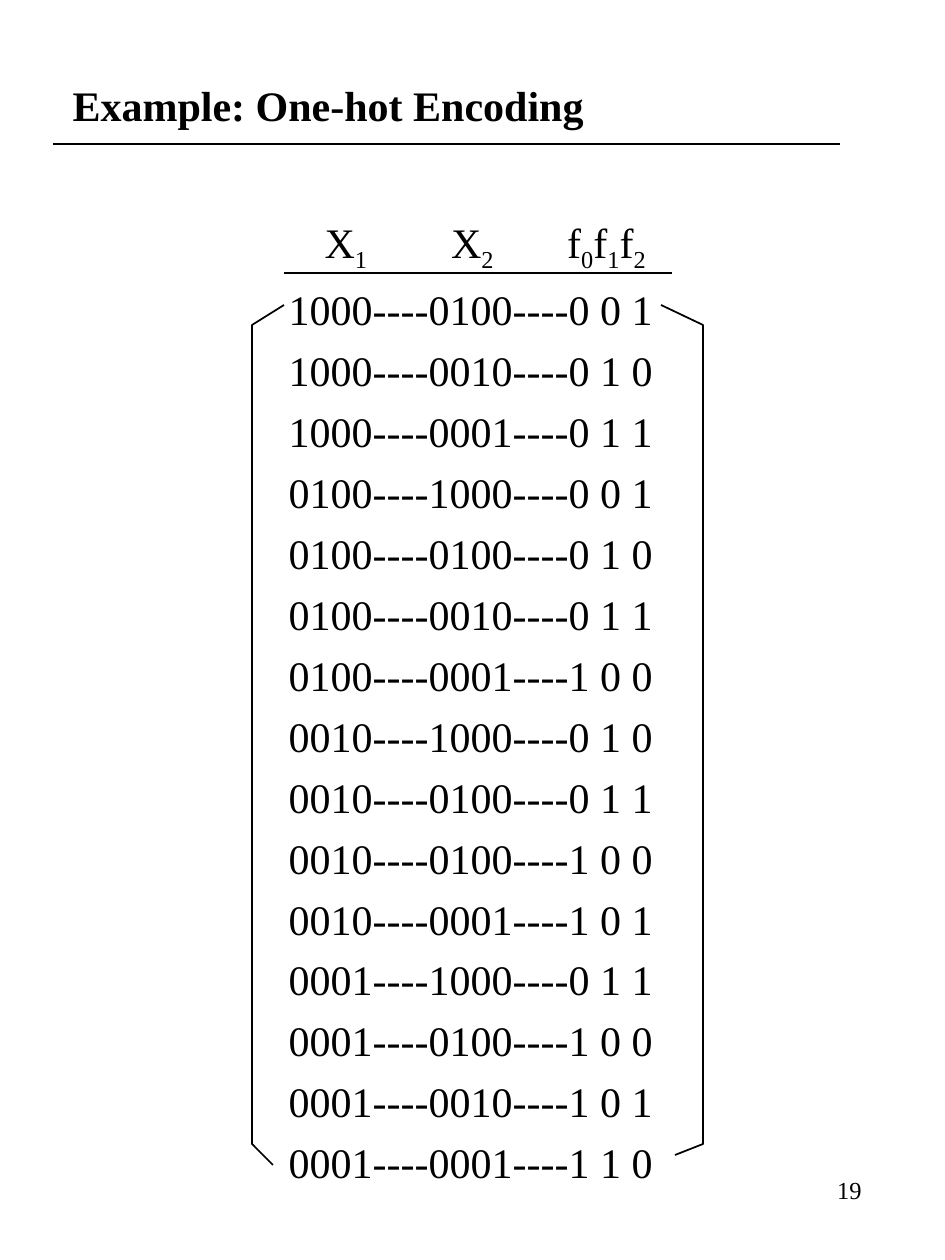
from lxml.etree import SubElement
from pptx import Presentation
from pptx.dml.color import RGBColor
from pptx.enum.shapes import MSO_CONNECTOR as Link
from pptx.enum.text import MSO_ANCHOR as Anchor, MSO_AUTO_SIZE as Fit, PP_ALIGN as Align
from pptx.oxml.ns import qn
from pptx.util import Pt

PX = 914400 / 126
FONT, BLACK = "Times New Roman", "000000"

TITLE = "Example: One-hot Encoding"
PAGE = "19"
HEADS = [
    (0, ("X", "1")),
    (42, ("X", "2")),
    (36, ("f", "0", "f", "1", "f", "2")),
]
CODES = [
    ("1000", "0100", "0 0 1"),
    ("1000", "0010", "0 1 0"),
    ("1000", "0001", "0 1 1"),
    ("0100", "1000", "0 0 1"),
    ("0100", "0100", "0 1 0"),
    ("0100", "0010", "0 1 1"),
    ("0100", "0001", "1 0 0"),
    ("0010", "1000", "0 1 0"),
    ("0010", "0100", "0 1 1"),
    ("0010", "0100", "1 0 0"),
    ("0010", "0001", "1 0 1"),
    ("0001", "1000", "0 1 1"),
    ("0001", "0100", "1 0 0"),
    ("0001", "0010", "1 0 1"),
    ("0001", "0001", "1 1 0"),
]
RULES = [(53, 840, 144), (284, 672, 273)]
BRACES = [
    [(661, 305), (703, 325), (703, 1144), (675, 1155)],
    [(284, 305), (252, 325), (252, 1144), (273, 1165)],
]


def emu(px):
    return round(px * PX)


def color(code):
    return RGBColor.from_string(code)


def place(shape, left, top, width, height):
    shape.left, shape.top = emu(left), emu(top)
    shape.width, shape.height = emu(width), emu(height)


def style(para, size, align, bold=False):
    para.alignment = align
    font = para.font
    font.name, font.size, font.bold = FONT, Pt(size), bold
    font.color.rgb = color(BLACK)


def plain(para, indent, gap):
    para.space_before = Pt(gap)
    props = para._p.get_or_add_pPr()
    props.set("marL", str(emu(indent)))
    props.set("indent", "0")
    SubElement(props, qn("a:buNone"))


def stroke(shape):
    shape.line.color.rgb = color(BLACK)
    shape.line.width = Pt(1)


def add_run(para, text, **props):
    run = para.add_run()
    run.text = text
    for name, value in props.items():
        run.font._element.set(name, str(value))


def add_head(para):
    plain(para, 252, 0)
    for gap, parts in HEADS:
        if gap:
            add_run(para, " ", spc=gap * 100)
        for i, part in enumerate(parts):
            add_run(para, part, baseline=-25000 if i % 2 else 0)
    style(para, 24, Align.LEFT)


def main():
    deck = Presentation()
    deck.slide_width, deck.slide_height = emu(945), emu(1260)
    slide = deck.slides.add_slide(deck.slide_layouts[1])
    shapes = slide.shapes

    title, body = slide.placeholders
    place(title, 60, 0, 804, 210)
    frame = title.text_frame
    frame.text = TITLE
    frame.auto_size = Fit.NONE
    frame.vertical_anchor = Anchor.MIDDLE
    style(frame.paragraphs[0], 24, Align.LEFT, True)

    place(body, 60, 197, 780, 989)
    frame = body.text_frame
    frame.auto_size = Fit.NONE
    frame.margin_top = emu(19)
    add_head(frame.paragraphs[0])
    for code in CODES:
        para = frame.add_paragraph()
        para.text = "----".join(code)
        plain(para, 41, 6)
        style(para, 24, Align.CENTER)

    for left, right, y in RULES:
        rule = shapes.add_connector(Link.STRAIGHT, emu(left), emu(y), emu(right), emu(y))
        stroke(rule)
        SubElement(rule._element.spPr, qn("a:effectLst"))

    for start, *rest in BRACES:
        path = shapes.build_freeform(*start, scale=PX)
        path.add_line_segments(rest, close=False)
        brace = path.convert_to_shape()
        brace.fill.background()
        brace.shadow.inherit = False
        stroke(brace)

    page = shapes.add_textbox(emu(678), emu(1148), emu(196), emu(84))
    frame = page.text_frame
    frame.word_wrap = True
    frame.vertical_anchor = Anchor.MIDDLE
    frame.text = PAGE
    style(frame.paragraphs[0], 14, Align.RIGHT)

    deck.save("out.pptx")


if __name__ == "__main__":
    main()
